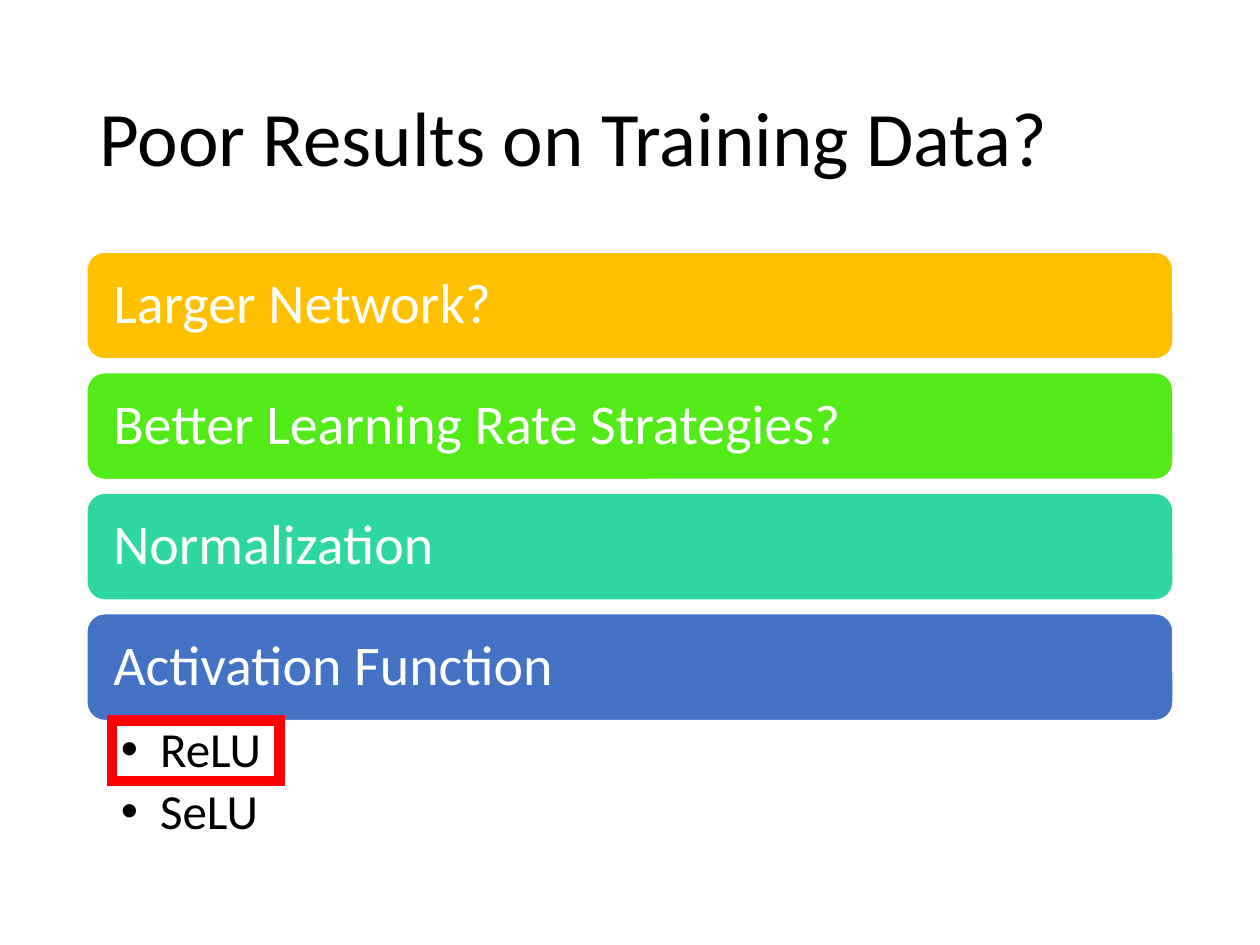
import pptx
import pptx.dml.color
import pptx.enum.shapes
import pptx.enum.text
import pptx.oxml.ns
import pptx.util
from lxml import etree

Cm = pptx.util.Cm
Pt = pptx.util.Pt
RGBColor = pptx.dml.color.RGBColor
SHAPES = pptx.enum.shapes.MSO_SHAPE
ANCHOR = pptx.enum.text.MSO_ANCHOR
qn = pptx.oxml.ns.qn

BLACK = RGBColor(0x00, 0x00, 0x00)
WHITE = RGBColor(0xFF, 0xFF, 0xFF)
RED = RGBColor(0xFF, 0x00, 0x00)
GOLD = RGBColor(0xFF, 0xC0, 0x00)
GREEN = RGBColor(0x53, 0xEB, 0x17)
TEAL = RGBColor(0x2E, 0xD7, 0xA1)
BLUE = RGBColor(0x44, 0x72, 0xC4)

FONT = "Calibri"
LEFT, WIDTH = Cm(1.75), Cm(21.9)
BAR_TOP, BAR_HEIGHT, BAR_PITCH = Cm(5.08), Cm(2.16), Cm(2.43)

REMEDIES = [
    ("Larger Network?", GOLD),
    ("Better Learning Rate Strategies?", GREEN),
    ("Normalization", TEAL),
    ("Activation Function", BLUE),
]
ACTIVATIONS = ["ReLU", "SeLU"]


def set_frame(frame, anchor, left, top, right):
    frame.word_wrap = True
    frame.vertical_anchor = anchor
    frame.margin_left, frame.margin_right = left, right
    frame.margin_top = frame.margin_bottom = top


def style_paragraph(paragraph, size, color):
    paragraph.alignment = pptx.enum.text.PP_ALIGN.LEFT
    paragraph.line_spacing = 0.9
    paragraph.font.name = FONT
    paragraph.font.size = Pt(size)
    paragraph.font.color.rgb = color


def add_title(slide, text):
    box = slide.shapes.add_textbox(LEFT, Cm(1.01), WIDTH, Cm(3.68))
    set_frame(box.text_frame, ANCHOR.MIDDLE, Cm(0.25), Cm(0.13), Cm(0.25))
    box.text_frame.text = text
    style_paragraph(box.text_frame.paragraphs[0], 44, BLACK)


def add_bar(slide, top, text, color):
    bar = slide.shapes.add_shape(SHAPES.ROUNDED_RECTANGLE, LEFT, top, WIDTH, BAR_HEIGHT)
    bar.shadow.inherit = False
    bar.fill.solid()
    bar.fill.fore_color.rgb = color
    bar.line.color.rgb = WHITE
    bar.line.width = Pt(1)
    set_frame(bar.text_frame, ANCHOR.MIDDLE, Cm(0.43), Cm(0.34), Cm(0.43))
    bar.text_frame.text = text
    style_paragraph(bar.text_frame.paragraphs[0], 32, WHITE)


def add_bullets(slide, top, items):
    box = slide.shapes.add_textbox(LEFT, top, WIDTH, Cm(2.63))
    set_frame(box.text_frame, ANCHOR.TOP, Cm(0.69), Cm(0.1), Cm(0.56))
    box.text_frame.text = "\n".join(items)
    for paragraph in box.text_frame.paragraphs:
        properties = paragraph._p.get_or_add_pPr()
        properties.set("marL", str(Cm(0.79)))
        properties.set("indent", str(-Cm(0.79)))
        etree.SubElement(properties, qn("a:buFont"), typeface="Arial")
        etree.SubElement(properties, qn("a:buChar"), char="•")
        style_paragraph(paragraph, 28, BLACK)
        paragraph.space_after = Pt(5.6)


def add_highlight(slide, left, top, width, height):
    frame = slide.shapes.add_shape(SHAPES.RECTANGLE, left, top, width, height)
    frame.shadow.inherit = False
    frame.fill.background()
    frame.line.color.rgb = RED
    frame.line.width = Pt(6)
    # Square corners
    etree.SubElement(frame.line._get_or_add_ln(), qn("a:miter"), lim="800000")


def main():
    presentation = pptx.Presentation()
    presentation.slide_width = Cm(25.4)
    presentation.slide_height = Cm(19.05)
    slide = presentation.slides.add_slide(presentation.slide_layouts[6])

    add_title(slide, "Poor Results on Training Data?")

    # Stack of remedies
    for index, (text, color) in enumerate(REMEDIES):
        add_bar(slide, BAR_TOP + index * BAR_PITCH, text, color)

    # Activation functions, with the first one framed
    add_bullets(slide, Cm(14.51), ACTIVATIONS)
    add_highlight(slide, Cm(2.26), Cm(14.53), Cm(3.38), Cm(1.22))

    presentation.save("out.pptx")


if __name__ == "__main__":
    main()
